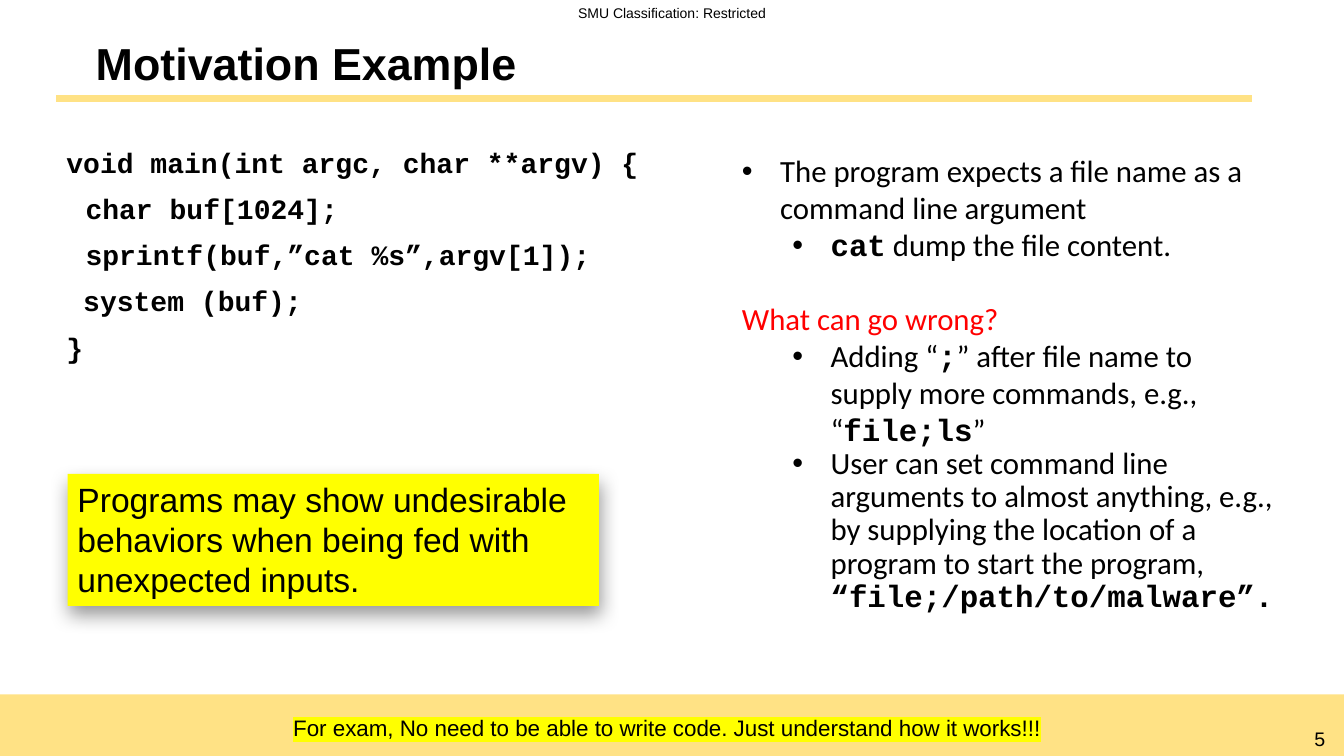
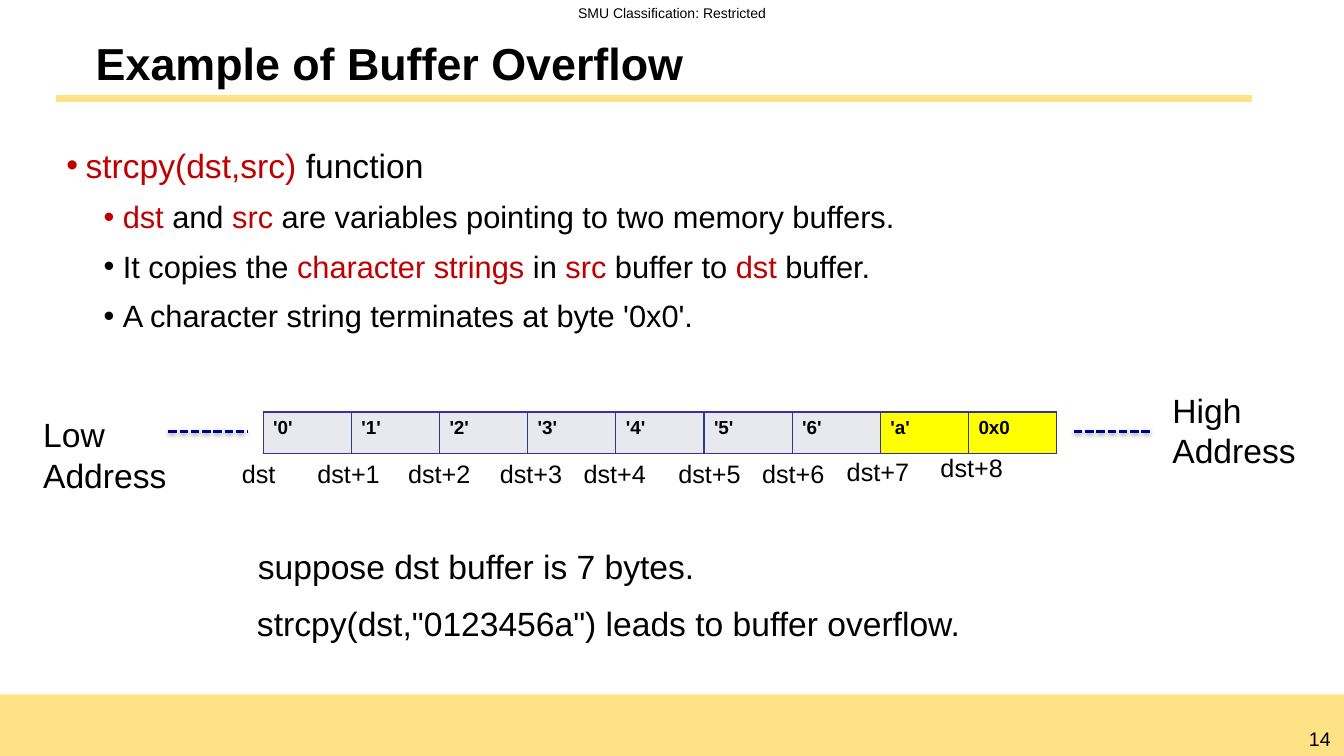
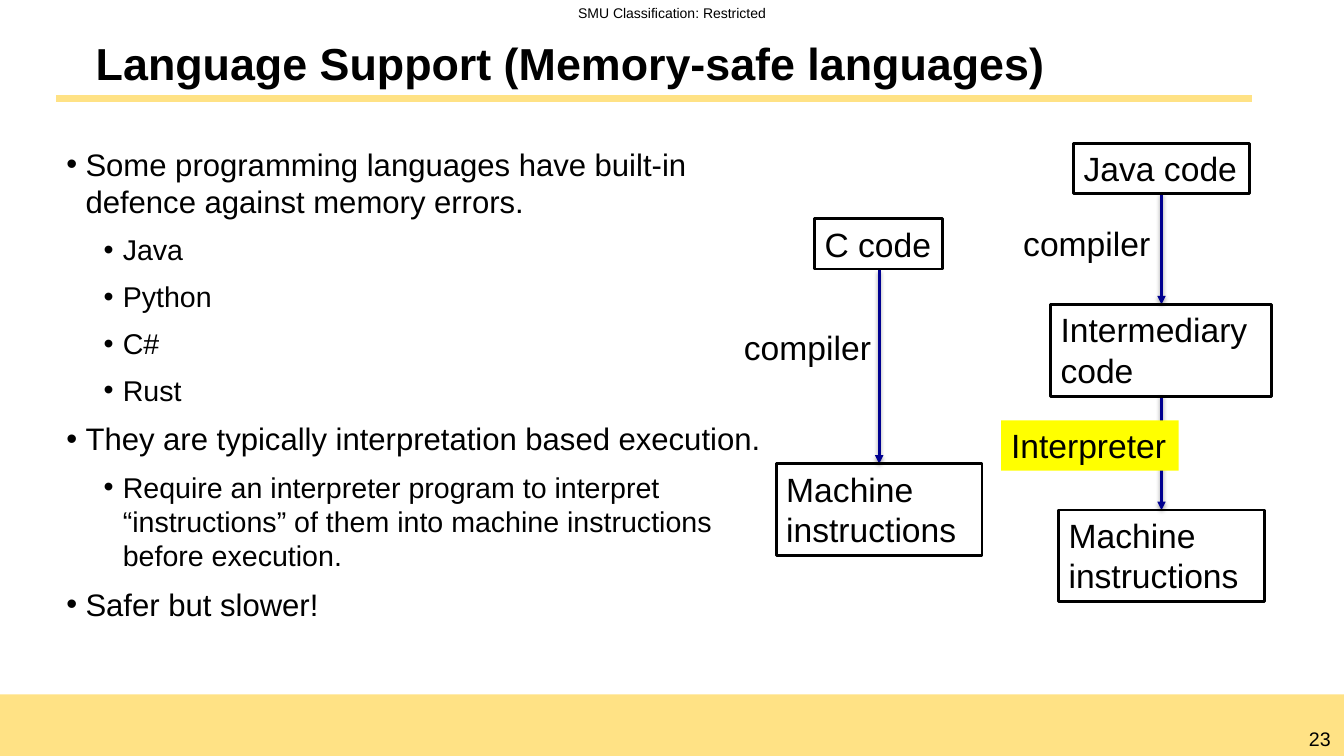
import pptx
import pptx.util
import pptx.dml.color
import pptx.enum.dml
import pptx.enum.shapes
import pptx.enum.text
import pptx.oxml
import pptx.oxml.ns

Inches = pptx.util.Inches
Pt = pptx.util.Pt
color = pptx.dml.color.RGBColor.from_string
qn = pptx.oxml.ns.qn
PP_ALIGN = pptx.enum.text.PP_ALIGN
ANCHOR = pptx.enum.text.MSO_ANCHOR

# Shared look
BLACK, SAND, YELLOW, NAVY = "000000", "FFE285", "FFFF00", "000090"
RED, DARK_RED, INDIGO, PALE = "FF0000", "C00000", "333399", "E8E8EF"
NS = 'xmlns:a="http://schemas.openxmlformats.org/drawingml/2006/main"'
SHADOW = (f'<a:outerShdw {NS} blurRad="%d" dist="%d" dir="%d" rotWithShape="0">'
          '<a:srgbClr val="000000"><a:alpha val="%d"/></a:srgbClr></a:outerShdw>')
LINE_SHADOW = SHADOW % (Pt(3.1), Pt(1.6), 90 * 60000, 38000)
BOX_SHADOW = SHADOW % (Pt(14), Pt(7), 80 * 60000, 40000)

# Paragraph layouts: left indent, first-line offset, bullet, spacing
BODY = {"left": 0.19, "hang": -0.19, "gap": 4.5}
BULLET = {**BODY, "bullet": True}
SUB_BULLET = {**BULLET, "left": 0.56}
CODE_INDENTED = {**BODY, "hang": 0}
NOTE = {"left": 0.38, "hang": -0.38, "bullet": True}
SUB_NOTE = {**NOTE, "left": 0.88}
PLAIN = {}


def add_text(page, place, paras, size=24, font="Arial", bold=False, fill=None, outline=None,
             wrap=True, align=PP_ALIGN.LEFT, anchor=ANCHOR.TOP, side=0.1, freeform=False):
    """Place text; paras is a string or a list of (layout, span, ...), a span a string or (string, style)."""
    left, top, width, height = [Inches(length) for length in place]
    if freeform:
        builder = page.shapes.build_freeform(left, top)
        builder.add_line_segments([(left + width, top), (left + width, top + height), (left, top + height)])
        box = builder.convert_to_shape()
    elif fill or outline:
        box = page.shapes.add_shape(pptx.enum.shapes.MSO_SHAPE.RECTANGLE, left, top, width, height)
    else:
        box = page.shapes.add_textbox(left, top, width, height)
    if freeform or fill or outline:
        box.shadow.inherit = False
        box.fill.background()
        box.line.fill.background()
    if fill:
        box.fill.solid()
        box.fill.fore_color.rgb = color(fill)
    if outline:
        box.line.color.rgb = color(outline)
        box.line.width = Pt(2)
    frame = box.text_frame
    frame.word_wrap = wrap
    frame.vertical_anchor = anchor
    frame.margin_left = frame.margin_right = Inches(side)
    frame.margin_top = frame.margin_bottom = Inches(0.05)
    if isinstance(paras, str):
        paras = [(PLAIN, paras)]
    for number, (layout, *spans) in enumerate(paras):
        para = frame.paragraphs[0] if number == 0 else frame.add_paragraph()
        para.alignment = align
        para.line_spacing = layout.get("leading", 1.0)
        para.space_after = Pt(layout.get("gap", 0))
        para.space_before = Pt(layout.get("before", layout.get("gap", 0)) if number else 0)
        props = para._p.get_or_add_pPr()
        props.set("marL", str(Inches(layout.get("left", 0))))
        props.set("indent", str(Inches(layout.get("hang", 0))))
        if layout.get("bullet"):
            props.append(pptx.oxml.parse_xml(f'<a:buFont {NS} typeface="Arial"/>'))
            props.append(pptx.oxml.parse_xml(f'<a:buChar {NS} char="•"/>'))
        for piece in spans:
            words, style = (piece, {}) if isinstance(piece, str) else piece
            span = para.add_run()
            span.text = words
            span.font.size = Pt(style.get("size", layout.get("size", size)))
            span.font.bold = style.get("bold", bold)
            span.font.color.rgb = color(style.get("color", BLACK))
            if "highlight" in style:
                span._r.get_or_add_rPr().append(pptx.oxml.parse_xml(
                    f'<a:highlight {NS}><a:srgbClr val="{style["highlight"]}"/></a:highlight>'))
            span.font.name = style.get("font", font)
    return box


def add_line(page, ends, line_color=NAVY, width=2, arrow=False, dashed=False, shadow=LINE_SHADOW):
    line = page.shapes.add_connector(pptx.enum.shapes.MSO_CONNECTOR.STRAIGHT,
                                     *[Inches(length) for length in ends])
    line.line.color.rgb = color(line_color)
    line.line.width = Pt(width)
    if dashed:
        line.line.dash_style = pptx.enum.dml.MSO_LINE.SQUARE_DOT
    if arrow:
        line.line._get_or_add_ln().append(pptx.oxml.parse_xml(f'<a:tailEnd {NS} type="triangle"/>'))
    line._element.spPr.append(pptx.oxml.parse_xml(f"<a:effectLst {NS}/>"))
    if shadow:
        line._element.spPr[-1].append(pptx.oxml.parse_xml(shadow))


deck = pptx.Presentation()
deck.slide_width, deck.slide_height = Inches(13.33), Inches(7.5)

# Title, rule, band and footer of every page
pages = []
for title, number in [("Motivation Example", "5"), ("Example of Buffer Overflow", "14"),
                      ("Language Support (Memory-safe languages)", "23")]:
    page = deck.slides.add_slide(deck.slide_layouts[6])
    band = page.shapes.add_shape(pptx.enum.shapes.MSO_SHAPE.RECTANGLE,
                                 0, Inches(6.89), deck.slide_width, Inches(0.64))
    band.shadow.inherit = False
    band.fill.solid()
    band.fill.fore_color.rgb = color(SAND)
    band.line.fill.background()
    add_text(page, (5.18, 0, 2.97, 0.27), "SMU Classification: Restricted", 10, align=PP_ALIGN.CENTER)
    add_text(page, (12.85, 7.16, 0.48, 0.34), number, 14, align=PP_ALIGN.CENTER)
    add_line(page, (0.56, 0.98, 12.42, 0.98), SAND, 4.75, shadow=None)
    add_text(page, (0.56, 0.33, 11.86, 0.64), [({"leading": 0.9}, title)], 32, bold=True,
             anchor=ANCHOR.MIDDLE, side=0.39, freeform=True)
    pages.append(page)
motivation, overflow, languages = pages

# Motivation: code on the left, notes on the right
add_text(motivation, (0.56, 1.39, 6.11, 2.91), [
    (BODY, "void main(int argc, char **argv) {"),
    (CODE_INDENTED, "char buf[1024];"),
    (CODE_INDENTED, "sprintf(buf,”cat %s”,argv[1]);"),
    (BODY, " system (buf);"),
    (BODY, "}"),
], 20, "Courier New", bold=True)

code = {"font": "Courier New", "bold": True}
add_text(motivation, (7.26, 1.46, 5.51, 4.74), [
    (NOTE, "The program expects a file name as a command line argument"),
    (SUB_NOTE, ("cat", code), " dump the file content."),
    ({"before": 26.5}, ("What can go wrong?", {"color": RED})),
    (SUB_NOTE, "Adding “", (";", code), "” after file name to supply more commands, e.g., “",
     ("file;ls", code), "”"),
    ({**SUB_NOTE, "leading": 0.9},
     "User can set command line arguments to almost anything, e.g., "
     "by supplying the location of a program to start the program, ",
     ("“file;/path/to/malware”.", code)),
], 22, "Calibri")

add_text(motivation, (2.81, 7.04, 8.34, 0.37), [
    (PLAIN, ("For exam, No need to be able to write code. Just understand how it works!!!",
             {"highlight": YELLOW})),
], 16)
warning = add_text(motivation, (0.67, 4.7, 5.27, 1.31),
                   "Programs may show undesirable behaviors when being fed with unexpected inputs.",
                   fill=YELLOW)
warning._element.spPr.find(qn("a:effectLst")).append(pptx.oxml.parse_xml(BOX_SHADOW))

# Overflow: strcpy explained
key = {"color": DARK_RED}
add_text(overflow, (0.56, 1.39, 11.86, 2.18), [
    ({**BULLET, "size": 24}, ("strcpy(dst,src) ", key), "function"),
    (SUB_BULLET, ("dst", key), " and ", ("src", key), " are variables pointing to two memory buffers."),
    (SUB_BULLET, "It copies the ", ("character strings ", key), "in ", ("src", key), " buffer to ",
     ("dst", key), " buffer."),
    (SUB_BULLET, "A character string terminates at byte '0x0'."),
], 22)

# Overflow: memory cells over an empty backing row, the last two beyond the buffer
contents = ["'0'", "'1'", "'2'", "'3'", "'4'", "'5'", "'6'", "'a'", "0x0"]
buffer_size = 7
for top, row in [(4.08, [""] * len(contents)), (4.09, contents)]:
    memory = overflow.shapes.add_table(1, len(row), Inches(2.61), Inches(top),
                                       Inches(7.87), Inches(0.41)).table
    memory.first_row = memory.horz_banding = False
    for index, content in enumerate(row):
        cell = memory.cell(0, index)
        for edge in ("lnL", "lnR", "lnT", "lnB"):
            cell._tc.get_or_add_tcPr().append(pptx.oxml.parse_xml(
                f'<a:{edge} {NS} w="{Pt(1)}"><a:solidFill><a:srgbClr val="{INDIGO}"/>'
                f'</a:solidFill></a:{edge}>'))
        cell.fill.solid()
        cell.fill.fore_color.rgb = color(PALE if index < buffer_size else YELLOW)
        if content:
            span = cell.text_frame.paragraphs[0].add_run()
            span.text = content
            span.font.size = Pt(13.5)
            span.font.bold = True
            span.font.name = "Arial"
            span.font.color.rgb = color(BLACK)

# Overflow: addresses below the cells
label_places = [(2.3, 4.5), (3.05, 4.5), (3.95, 4.5), (4.86, 4.5), (5.69, 4.5),
                (6.63, 4.5), (7.46, 4.5), (8.3, 4.48), (9.23, 4.44)]
for offset, (left, top) in enumerate(label_places):
    add_text(overflow, (left, top, 0.83 if offset else 0.54, 0.4),
             f"dst+{offset}" if offset else "dst", 18, wrap=False)
for start, end in [(1.67, 2.46), (10.65, 11.43)]:
    add_line(overflow, (start, 4.28, end, 4.28), dashed=True)
add_text(overflow, (0.33, 4.06, 1.46, 0.91), "Low Address")
add_text(overflow, (11.53, 3.82, 1.46, 0.91), "High Address")
add_text(overflow, (2.46, 5.37, 4.57, 0.5), "suppose dst buffer is 7 bytes.", wrap=False)
add_text(overflow, (2.45, 5.93, 8.52, 0.5), 'strcpy(dst,"0123456a") leads to buffer overflow.')

# Languages: bullet list
top_point = {**BULLET, "size": 22.2}
add_text(languages, (0.56, 1.39, 7.39, 5.17), [
    (top_point, "Some programming languages have built-in defence against memory errors."),
    *[(SUB_BULLET, name) for name in ("Java", "Python", "C#", "Rust")],
    (top_point, "They are typically interpretation based execution."),
    (SUB_BULLET, "Require an interpreter program to interpret “instructions” of them "
                 "into machine instructions before execution."),
    (top_point, "Safer but slower!"),
], 20.4)

# Languages: compiled and interpreted flows
for x, start, end in [(8.72, 2.68, 4.6), (11.52, 1.92, 3.02), (11.52, 3.92, 5.06)]:
    add_line(languages, (x, start, x, end), arrow=True)
for words, place, wrap in [
    ("C code", (8.08, 2.17, 1.27, 0.5), False),
    ("Machine instructions", (7.7, 4.6, 2.04, 0.91), True),
    ("Java code", (10.65, 1.42, 1.74, 0.5), False),
    ("Intermediary code", (10.42, 3.02, 2.19, 0.91), True),
    ("Machine instructions", (10.5, 5.06, 2.04, 0.91), True),
]:
    add_text(languages, place, words, outline=BLACK, wrap=wrap)
for left, top in [(7.28, 3.19), (10.05, 2.16)]:
    add_text(languages, (left, top, 1.48, 0.5), "compiler", wrap=False)
add_text(languages, (9.93, 4.17, 1.76, 0.5), "Interpreter", fill=YELLOW, wrap=False)

deck.save("out.pptx")
